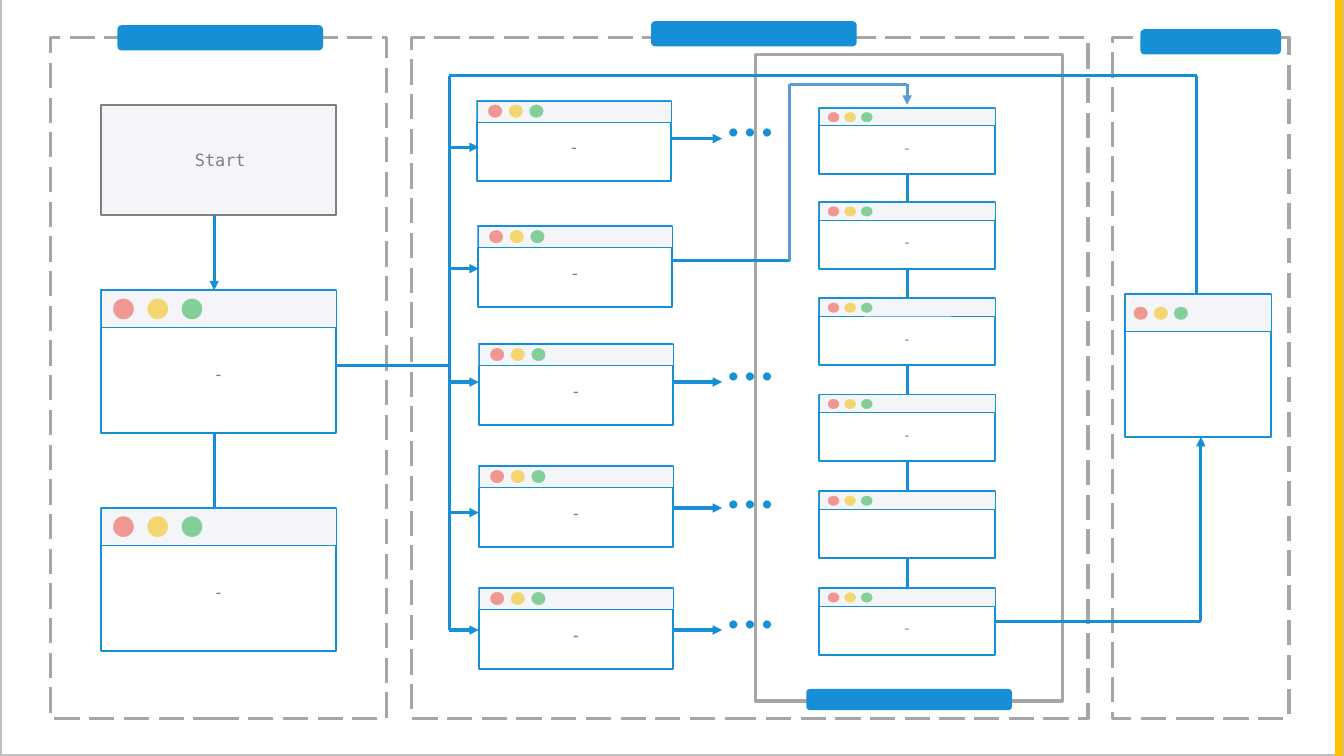
from dataclasses import dataclass
from typing import NamedTuple, Optional

from lxml import etree
from pptx import Presentation
from pptx.dml.color import RGBColor
from pptx.enum.dml import MSO_LINE
from pptx.enum.shapes import MSO_CONNECTOR, MSO_SHAPE
from pptx.enum.text import MSO_AUTO_SIZE, PP_ALIGN
from pptx.oxml.ns import qn
from pptx.util import Emu, Pt

RECT, ROUND, OVAL = MSO_SHAPE.RECTANGLE, MSO_SHAPE.ROUNDED_RECTANGLE, MSO_SHAPE.OVAL
STRAIGHT = MSO_CONNECTOR.STRAIGHT
LONG_DASH = MSO_LINE.LONG_DASH
FIT = MSO_AUTO_SIZE.SHAPE_TO_FIT_TEXT
LEFT, CENTER = PP_ALIGN.LEFT, PP_ALIGN.CENTER
TOP_SIDE, BOTTOM_SIDE, RIGHT_SIDE = 0, 2, 3
EMU_PER_PX = 9144  # 100 px to the inch


@dataclass(frozen=True)
class Theme:
    backdrop: str = "FAFAFA"
    paper: str = "FFFFFF"
    paper_edge: str = "BFBFBF"
    accent: str = "178FD7"
    detour: str = "5B9BD5"
    panel: str = "F3F5F8"
    frame: str = "A6A6A6"
    muted: str = "808080"
    stripe: str = "FFC000"
    dots: tuple[str, str, str] = ("EF9790", "F4D671", "84CE9A")
    mono: str = "DejaVu Sans Mono"
    sans: str = "Calibri"
    label_size: int = 24
    stage_size: int = 20
    ellipsis_size: int = 96
    thick: float = 4.5
    medium: float = 3
    thin: float = 0.5


THEME = Theme()


class Box(NamedTuple):
    left: int
    top: int
    width: int
    height: int


class WindowStyle(NamedTuple):
    width: int
    height: int
    header: int
    dot_width: int
    dot_height: int
    dot_left: int
    dot_pitch: int
    dot_top: int
    text_top: int
    text_size: int


class Window(NamedTuple):
    style: WindowStyle
    left: int
    top: int
    text: str = "-"


class Line(NamedTuple):
    x1: int
    y1: int
    x2: int
    y2: int
    arrow: bool = False
    color: str = THEME.accent


LARGE = WindowStyle(467, 283, 74, 40, 40, 25, 68, 17, 141, THEME.label_size)
BRANCH = WindowStyle(386, 160, 42, 27, 25, 23, 41, 8, 67, THEME.label_size)
STAGE = WindowStyle(350, 132, 35, 22, 19, 18, 33, 9, 58, THEME.stage_size)
RESULT = WindowStyle(290, 283, 74, 27, 25, 17, 40, 25, 141, THEME.label_size)

PAPER = Box(0, -4, 2667, 1504)
STRIPE = Box(2650, -4, 13, 1509)
START = Box(200, 209, 467, 217)
START_TEXT = Box(233, 292, 408, 50)
PHASES = [Box(left, 75, width, 1350) for left, width in ((100, 667), (817, 1342), (2208, 350))]
STAGE_FRAME = Box(1500, 108, 608, 1283)
TAGS = [Box(233, 50, 408, 50), Box(1292, 42, 408, 50), Box(2263, 58, 279, 50),
        Box(1600, 1367, 408, 42)]

WINDOWS = [Window(LARGE, 200, top) for top in (576, 1008)]
WINDOWS += [Window(BRANCH, left, top) for left, top in
            ((946, 200), (948, 449), (950, 683), (950, 925), (950, 1167))]
WINDOWS.append(Window(RESULT, 2233, 584, ""))
STAGES = [Window(STAGE, 1625, top, text) for top, text in
          ((214, "-"), (401, "-"), (592, "-"), (783, "-"), (975, ""), (1167, "-"))]

BUS_X = 892
LINES = [
    Line(425, 426, 425, 576, True),
    Line(425, 858, 425, 1009),
    Line(667, 725, BUS_X, 725),
    Line(BUS_X, 150, BUS_X, 1250),
    Line(BUS_X, 150, 2375, 150),
    Line(2375, 150, 2375, 583),
    Line(1333, 517, 1567, 517),
    Line(1567, 167, 1567, 517, color=THEME.detour),
    Line(1567, 167, 1800, 167, color=THEME.detour),
    Line(1800, 167, 1800, 208, True, THEME.detour),
    Line(2383, 1233, 2383, 867, True),
]
LINES += [Line(BUS_X, y, 950, y, True) for y in (292, 533, 758, 1017, 1250)]
LINES += [Line(1333, y, 1433, y, True) for y in (275, 758, 1008, 1250)]
ELLIPSIS_TOPS = (133, 617, 870, 1108)


def px(length: int) -> Emu:
    return Emu(length * EMU_PER_PX)


def rgb(color: str) -> RGBColor:
    return RGBColor.from_string(color)


def add_box(shapes, kind, box: Box, fill: Optional[str] = None,
            line: Optional[str] = None, weight: float = THEME.thick, dash=None):
    shape = shapes.add_shape(kind, *map(px, box))
    shape.shadow.inherit = False
    if fill:
        shape.fill.solid()
        shape.fill.fore_color.rgb = rgb(fill)
    else:
        shape.fill.background()
    if line:
        shape.line.color.rgb = rgb(line)
        shape.line.width = Pt(weight)
        if dash:
            shape.line.dash_style = dash
    else:
        shape.line.fill.background()
    return shape


def add_text(shapes, box: Box, text: str, size: int, font: str, color: str, align) -> None:
    frame = shapes.add_textbox(*map(px, box)).text_frame
    frame.word_wrap = True
    frame.auto_size = FIT
    frame.text = text
    para = frame.paragraphs[0]
    para.alignment = align
    span = para.runs[0].font
    span.size, span.name, span.color.rgb = Pt(size), font, rgb(color)


def add_line(shapes, line: Line):
    connector = shapes.add_connector(STRAIGHT, px(line.x1), px(line.y1), px(line.x2), px(line.y2))
    connector.line.color.rgb = rgb(line.color)
    connector.line.width = Pt(THEME.thick)
    if line.arrow:
        etree.SubElement(connector.line._get_or_add_ln(), qn("a:tailEnd"), type="triangle")
    etree.SubElement(connector._element.spPr, qn("a:effectLst"))
    return connector


def add_window(shapes, window: Window):
    """Draw a titled window as a group and return its outer rectangle."""
    style, left, top, text = window
    group = shapes.add_group_shape().shapes
    body = add_box(group, RECT, Box(left, top, style.width, style.height),
                   line=THEME.accent, weight=THEME.medium)
    add_box(group, RECT, Box(left, top, style.width, style.header),
            THEME.panel, THEME.accent, THEME.thin)
    for index, color in enumerate(THEME.dots):
        dot = Box(left + style.dot_left + index * style.dot_pitch, top + style.dot_top,
                  style.dot_width, style.dot_height)
        add_box(group, OVAL, dot, color, color, THEME.thin)
    if text:
        add_text(shapes, Box(left, top + style.text_top, style.width, style.text_size * 2),
                 text, style.text_size, THEME.mono, THEME.muted, CENTER)
    return body


def main() -> None:
    deck = Presentation()
    deck.slide_width, deck.slide_height = px(2667), px(1500)
    page = deck.slides.add_slide(deck.slide_layouts[6])
    page.background.fill.solid()
    page.background.fill.fore_color.rgb = rgb(THEME.backdrop)
    shapes = page.shapes

    add_box(shapes, RECT, PAPER, THEME.paper, THEME.paper_edge)
    for phase in PHASES:
        add_box(shapes, RECT, phase, line=THEME.frame, dash=LONG_DASH)
    add_box(shapes, RECT, STAGE_FRAME, line=THEME.frame)
    add_box(shapes, RECT, START, THEME.panel, THEME.muted, THEME.medium)
    add_text(shapes, START_TEXT, "Start", THEME.label_size, THEME.mono, THEME.muted, CENTER)

    for line in LINES:
        add_line(shapes, line)
    for window in WINDOWS:
        add_window(shapes, window)
    stages = [add_window(shapes, stage) for stage in STAGES]
    for upper, lower in zip(stages, stages[1:]):
        link = add_line(shapes, Line(1800, 350, 1800, 400))
        link.begin_connect(upper, BOTTOM_SIDE)
        link.end_connect(lower, TOP_SIDE)
    add_line(shapes, Line(1975, 1233, 2383, 1233)).begin_connect(stages[-1], RIGHT_SIDE)

    for tag in TAGS:
        add_box(shapes, ROUND, tag, THEME.accent)
    for top in ELLIPSIS_TOPS:
        add_text(shapes, Box(1433, top, 150, 172), "…", THEME.ellipsis_size,
                 THEME.sans, THEME.accent, LEFT)
    add_box(shapes, RECT, STRIPE, THEME.stripe, THEME.stripe, 1)
    deck.save("out.pptx")


if __name__ == "__main__":
    main()
